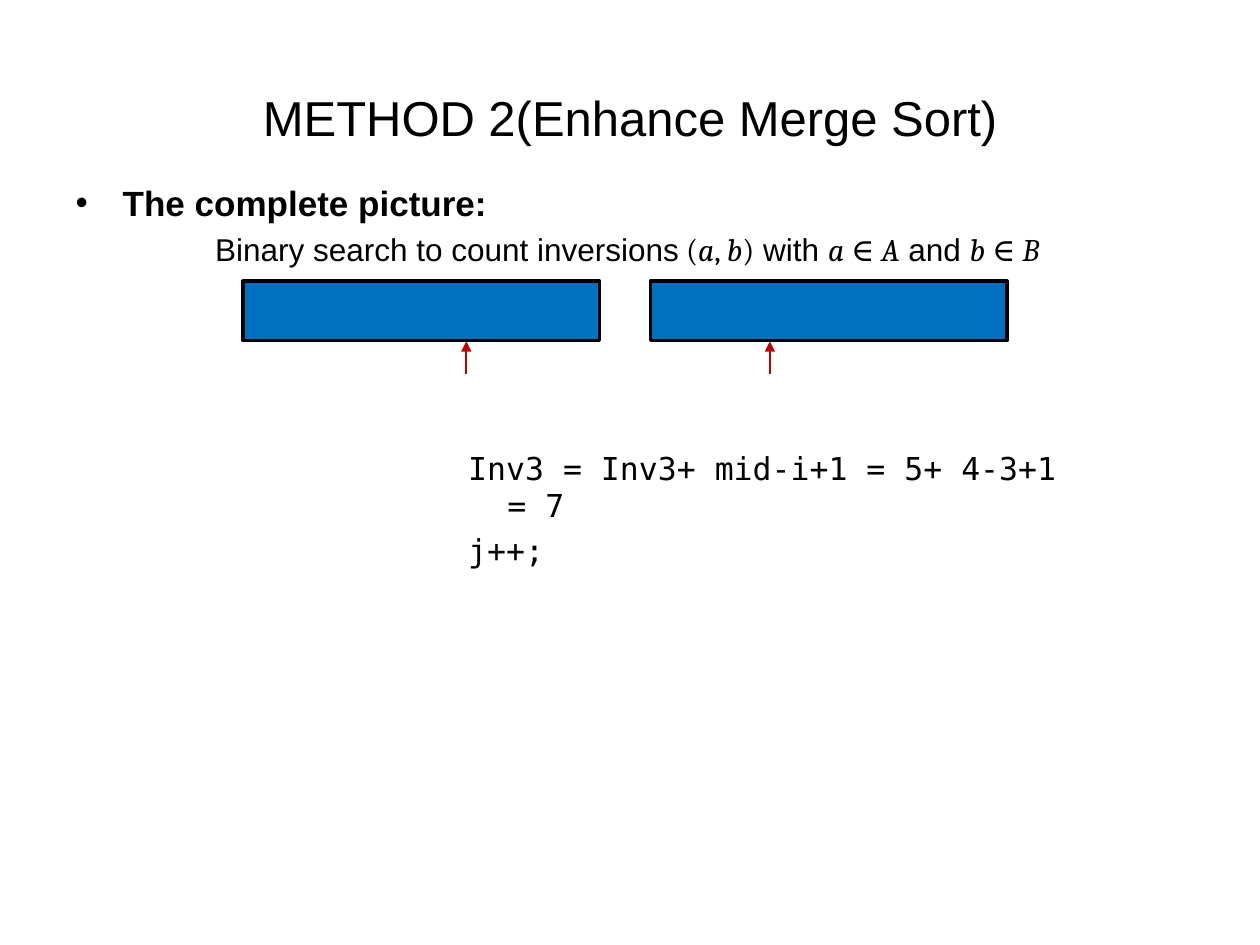
from pptx import Presentation
from pptx import util as u
from pptx.dml.color import RGBColor
from pptx.enum import shapes, text
from pptx.oxml.ns import qn
from lxml import etree


def colour(hex_string):
    return RGBColor.from_string(hex_string)


def format_run(run, size, font, bold=False, italic=False):
    run.font.size = u.Pt(size)
    run.font.name = font
    run.font.bold = bold
    run.font.italic = italic
    run.font.color.rgb = colour("000000")


deck = Presentation()
deck.slide_width, deck.slide_height = u.Cm(25.4), u.Cm(19.05)
slide = deck.slides.add_slide(deck.slide_layouts[1])

# Title and heading bullet
title = slide.shapes.title
title.left, title.top, title.width, title.height = u.Cm(1.27), u.Cm(0.76), u.Cm(22.86), u.Cm(3.18)
title.text_frame.text = "METHOD 2(Enhance Merge Sort)"
title.text_frame.vertical_anchor = text.MSO_ANCHOR.MIDDLE
heading = title.text_frame.paragraphs[0]
heading.alignment = text.PP_ALIGN.CENTER
format_run(heading.runs[0], 28, "Arial")

body = slide.placeholders[1]
body.left, body.top, body.width, body.height = u.Cm(1.27), u.Cm(3.53), u.Cm(22.86), u.Cm(13.49)
body.text_frame.text = "The complete picture:"
topic = body.text_frame.paragraphs[0]
topic.space_before = u.Pt(0)
properties = topic._p.get_or_add_pPr()
properties.set("marL", str(u.Cm(0.95)))
properties.set("indent", str(u.Cm(-0.95)))
etree.SubElement(properties, qn("a:buFont")).set("typeface", "Arial")
etree.SubElement(properties, qn("a:buChar")).set("char", "•")
format_run(topic.runs[0], 20, "Arial", bold=True)

# The two sorted halves
for left in (4.9, 13.11):
    half = slide.shapes.add_shape(shapes.MSO_SHAPE.RECTANGLE, u.Cm(left), u.Cm(5.67), u.Cm(7.19), u.Cm(1.2))
    half.shadow.inherit = False
    half.fill.solid()
    half.fill.fore_color.rgb = colour("0070C0")
    half.line.color.rgb = colour("000000")
    half.line.width = u.Pt(2)

# Caption: words in Arial, formulas in Cambria, variables in italics
caption = slide.shapes.add_textbox(u.Cm(4.09), u.Cm(4.52), u.Cm(17.96), u.Cm(1.02))
caption.text_frame.word_wrap = True
sentence = caption.text_frame.paragraphs[0]
for words, font, italic in (
    ("Binary search to count inversions", "Arial", False),
    (" (", "Cambria", False),
    ("a", "Cambria", True),
    (", ", "Cambria", False),
    ("b", "Cambria", True),
    (")", "Cambria", False),
    (" with ", "Arial", False),
    ("a", "Cambria", True),
    (" ∈ ", "Cambria", False),
    ("A", "Cambria", True),
    (" and ", "Arial", False),
    ("b", "Cambria", True),
    (" ∈ ", "Cambria", False),
    ("B", "Cambria", True),
):
    run = sentence.add_run()
    run.text = words
    format_run(run, 18, font, italic=italic)

# Index pointers below the halves
for x in (15.52, 9.4):
    pointer = slide.shapes.add_connector(shapes.MSO_CONNECTOR.STRAIGHT, u.Cm(x), u.Cm(6.88), u.Cm(x), u.Cm(7.53))
    pointer.line.color.rgb = colour("C00000")
    pointer.line.width = u.Pt(1.25)
    etree.SubElement(pointer.line._get_or_add_ln(), qn("a:headEnd")).set("type", "triangle")
    etree.SubElement(pointer._element.spPr, qn("a:effectLst"))

# Counting step
step = slide.shapes.add_textbox(u.Cm(7.92), u.Cm(8.92), u.Cm(14.1), u.Cm(1.96))
step.text_frame.word_wrap = True
step.text_frame.text = "Inv3 = Inv3+ mid-i+1 = 5+ 4-3+1 = 7\nj++;"
for number, statement in enumerate(step.text_frame.paragraphs):
    statement.level = 1
    statement.space_before = u.Pt(3.6 * number)
    properties = statement._p.get_or_add_pPr()
    properties.set("marL", str(u.Cm(2.06)))
    properties.set("indent", str(u.Cm(-0.79)))
    format_run(statement.runs[0], 18, "DejaVu Sans Mono")

deck.save("out.pptx")
